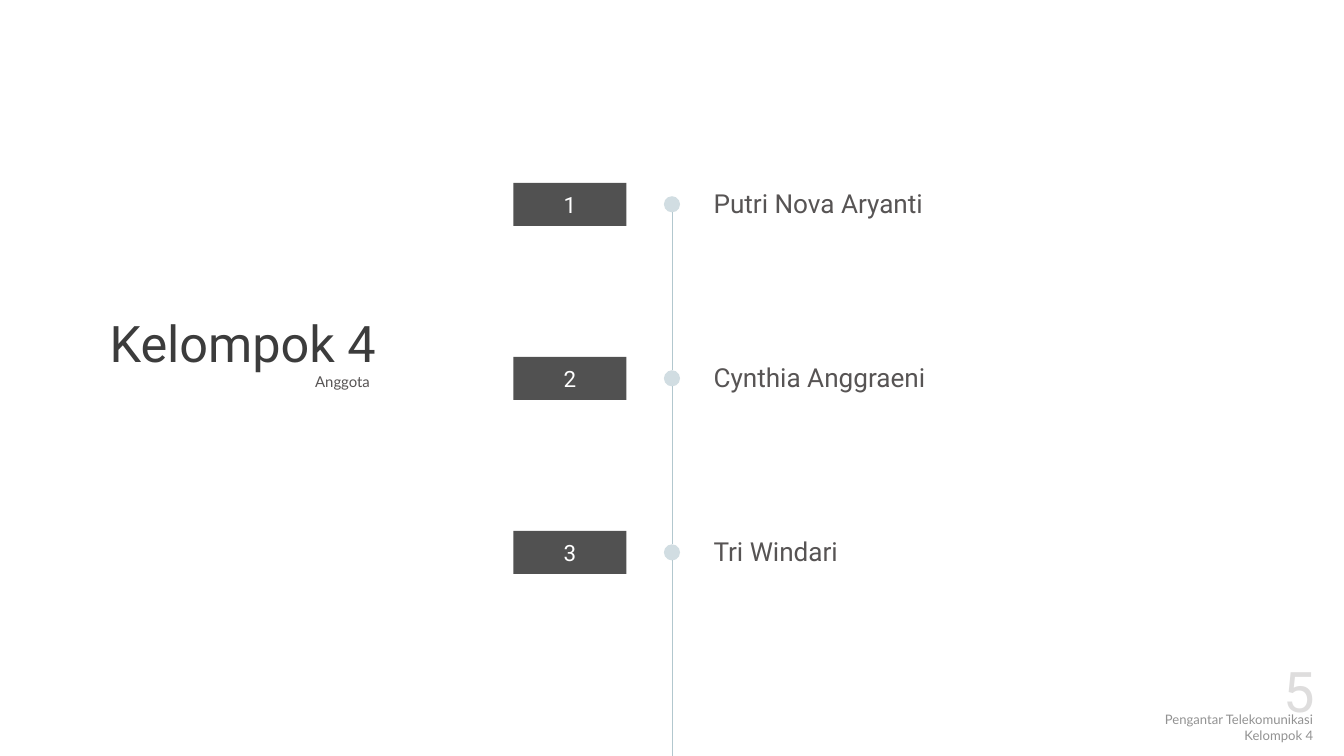
from pptx import Presentation
from pptx import util as u
from pptx.dml.color import RGBColor
from pptx.enum import shapes, text
from pptx.oxml.ns import qn
from lxml import etree

W, H = 20, 11.25
AXIS = W / 2            # timeline position
FIRST, STEP = 3.04, 2.59  # centre of the first row, distance between rows
DOT = 0.24
MEMBERS = ["Putri Nova Aryanti", "Cynthia Anggraeni", "Tri Windari"]

DARK, GREY, BOX = "3C3C3C", "575454", "515151"
DOT_FILL, LINE = "D1DDE2", "B2C7CE"
LEFT, CENTER, RIGHT, JUSTIFY = (text.PP_ALIGN.LEFT, text.PP_ALIGN.CENTER,
                                text.PP_ALIGN.RIGHT, text.PP_ALIGN.JUSTIFY)
TOP, MIDDLE, BOTTOM = (text.MSO_ANCHOR.TOP, text.MSO_ANCHOR.MIDDLE,
                       text.MSO_ANCHOR.BOTTOM)


def color(value):
    return RGBColor.from_string(value)


def inches(*lengths):
    return [u.Inches(v) for v in lengths]


def write(sp, lines, size, font, fill, align=LEFT, anchor=MIDDLE, spacing=1.0):
    tf = sp.text_frame
    tf.word_wrap = True
    tf.auto_size = text.MSO_AUTO_SIZE.NONE
    tf.vertical_anchor = anchor
    for i, line in enumerate(lines):
        p = tf.paragraphs[0] if i == 0 else tf.add_paragraph()
        p.alignment, p.line_spacing = align, spacing
        p.space_before = u.Pt(0)
        r = p.add_run()
        r.text = line
        r.font.size, r.font.name = u.Pt(size), font
        r.font.color.rgb = color(fill)


def add_label(s, box, lines, *style, **options):
    write(s.shapes.add_textbox(*inches(*box)), lines, *style, **options)


def fill_placeholder(sp, box, line, *style, **options):
    sp.left, sp.top, sp.width, sp.height = inches(*box)
    write(sp, [line], *style, **options)


def add_solid(s, kind, box, fill):
    sp = s.shapes.add_shape(kind, *inches(*box))
    sp.shadow.inherit = False
    sp.fill.solid()
    sp.fill.fore_color.rgb = color(fill)
    sp.line.fill.background()
    return sp


def add_segment(s, top, bottom):
    line = s.shapes.add_connector(shapes.MSO_CONNECTOR.STRAIGHT,
                                  *inches(AXIS, top, AXIS, bottom))
    line.line.color.rgb = color(LINE)
    line.line.width = u.Pt(1)
    etree.SubElement(line._element.spPr, qn("a:effectLst"))


def add_member(s, number, name, y, next_y):
    # Dot and the line down to the next dot or the slide's edge
    add_solid(s, shapes.MSO_SHAPE.OVAL,
              (AXIS - DOT / 2, y - DOT / 2, DOT, DOT), DOT_FILL)
    add_segment(s, y + DOT / 2, next_y)
    # Number box and name
    box = add_solid(s, shapes.MSO_SHAPE.RECTANGLE,
                    (7.64, y - 0.32, 1.68, 0.64), BOX)
    write(box, [str(number)], 24, "Roboto", "FFFFFF", align=CENTER)
    add_label(s, (10.52, y - 0.38, 6.17, 0.64), [name],
              28, "Roboto", GREY, anchor=BOTTOM)


def main():
    prs = Presentation()
    prs.slide_width, prs.slide_height = inches(W, H)
    s = prs.slides.add_slide(prs.slide_layouts[1])

    # Title and subtitle
    fill_placeholder(s.shapes.title, (1.53, 2.31, 5.24, 3.3), "Kelompok 4",
                     54, "Roboto", DARK, anchor=BOTTOM, spacing=0.9)
    body = s.placeholders[1]
    fill_placeholder(body, (4.59, 5.34, 5.24, 3.84), "Anggota",
                     16, "Lato", GREY, align=JUSTIFY, anchor=TOP, spacing=1.6)
    pPr = body.text_frame.paragraphs[0]._p.get_or_add_pPr()
    pPr.set("marL", "0")
    pPr.set("indent", "0")
    etree.SubElement(pPr, qn("a:buNone"))

    # Timeline of members
    for i, name in enumerate(MEMBERS):
        y = FIRST + i * STEP
        last = i == len(MEMBERS) - 1
        add_member(s, i + 1, name, y, H if last else y + STEP - DOT / 2)

    # Footer and page number
    add_label(s, (12.22, 10.52, 7.42, 0.6),
              ["Pengantar Telekomunikasi", "Kelompok 4"],
              14, "Lato", "929292", align=RIGHT)
    add_label(s, (16.69, 9.71, 2.97, 1.11), ["5"],
              60, "Roboto", "DEDDDD", align=RIGHT, anchor=BOTTOM)

    prs.save("out.pptx")


if __name__ == "__main__":
    main()
